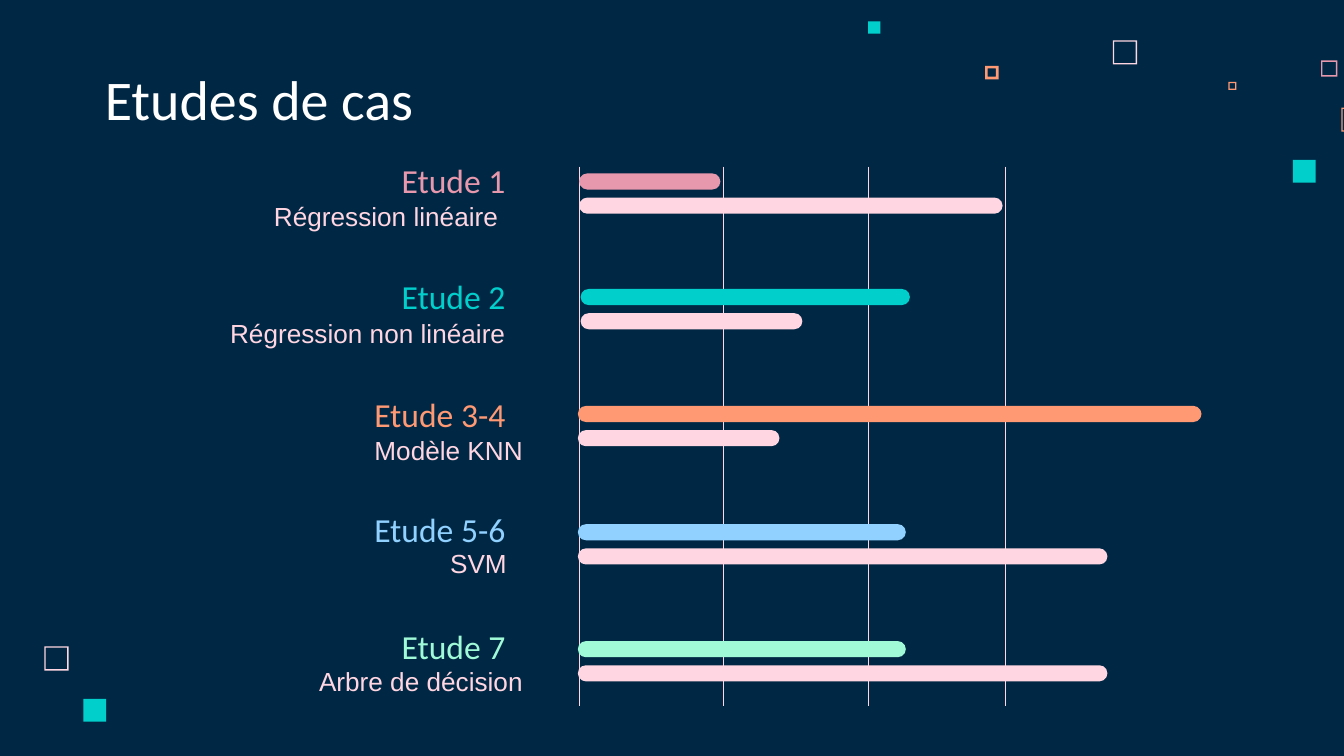
from dataclasses import dataclass

from lxml import etree
from pptx import Presentation
from pptx.dml.color import RGBColor
from pptx.enum.shapes import MSO_CONNECTOR, MSO_SHAPE
from pptx.enum.text import MSO_ANCHOR, MSO_AUTO_SIZE, PP_ALIGN
from pptx.oxml.ns import qn
from pptx.util import Inches, Pt

STRAIGHT = MSO_CONNECTOR.STRAIGHT
RECTANGLE, FRAME, ROUNDED = MSO_SHAPE.RECTANGLE, MSO_SHAPE.FRAME, MSO_SHAPE.ROUNDED_RECTANGLE
TOP, BOTTOM = MSO_ANCHOR.TOP, MSO_ANCHOR.BOTTOM
LEFT, RIGHT = PP_ALIGN.LEFT, PP_ALIGN.RIGHT
NO_AUTOFIT = MSO_AUTO_SIZE.NONE
TITLE_ONLY = 5


@dataclass(frozen=True)
class Theme:
    background: str = "002845"
    white: str = "FFFFFF"
    pale_pink: str = "FFD6E1"
    rose: str = "E898AC"
    teal: str = "00CFCC"
    orange: str = "FF9973"
    sky: str = "91D1FF"
    mint: str = "A0FAD7"
    heading_font: str = "Calibri"
    body_font: str = "Arial"
    title_size: int = 30
    heading_size: int = 18
    caption_size: int = 14


THEME = Theme()


@dataclass(frozen=True)
class Box:
    left: float
    top: float
    width: float
    height: float

    def lengths(self) -> tuple:
        return tuple(Inches(v) for v in (self.left, self.top, self.width, self.height))


@dataclass(frozen=True)
class TextStyle:
    font: str
    size: int
    color: str
    align: PP_ALIGN
    anchor: MSO_ANCHOR
    space_after: int = 0


@dataclass(frozen=True)
class Square:
    left: float
    top: float
    side: float
    color: str
    thickness: float = 0  # zero means a solid square


@dataclass(frozen=True)
class Study:
    heading: str
    caption: str
    color: str
    bars_left: float
    bars_top: float
    bar_widths: tuple
    heading_top: float
    caption_box: Box


SQUARES = [
    Square(8.28, 0.3, 0.18, THEME.pale_pink, 0.01),
    Square(9.83, 0.45, 0.12, THEME.rose, 0.01),
    Square(9.14, 0.61, 0.06, THEME.orange, 0.01),
    Square(9.98, 0.8, 0.18, THEME.orange, 0.01),
    Square(9.62, 1.19, 0.17, THEME.teal),
    Square(7.33, 0.49, 0.1, THEME.orange, 0.02),
    Square(6.46, 0.16, 0.09, THEME.teal),
    Square(0.33, 4.81, 0.18, THEME.pale_pink, 0.01),
    Square(0.62, 5.2, 0.17, THEME.teal),
]
STUDIES = [
    Study("Etude 1", "Régression linéaire ", THEME.rose, 4.31, 1.29, (1.05, 3.15),
          1.16, Box(1.41, 1.39, 2.45, 0.71)),
    Study("Etude 2", "Régression non linéaire", THEME.teal, 4.32, 2.15, (2.45, 1.65),
          2.02, Box(1.5, 2.26, 2.36, 0.71)),
    Study("Etude 3-4", "Modèle KNN", THEME.orange, 4.3, 3.02, (4.64, 1.5),
          2.9, Box(1.38, 3.13, 2.61, 0.71)),
    Study("Etude 5-6", "SVM", THEME.sky, 4.3, 3.9, (2.44, 3.94),
          3.76, Box(1.26, 3.97, 2.61, 0.71)),
    Study("Etude 7", "Arbre de décision", THEME.mint, 4.3, 4.77, (2.44, 3.94),
          4.63, Box(1.38, 4.85, 2.61, 0.71)),
]
GRID_LINES = [4.31, 5.38, 6.46, 7.48]
GRID_TOP, GRID_BOTTOM = 1.24, 5.25
BAR_GAP, BAR_HEIGHT = 0.18, 0.12


def add_filled_shape(slide, kind: MSO_SHAPE, box: Box, color: str):
    shape = slide.shapes.add_shape(kind, *box.lengths())
    shape.shadow.inherit = False
    shape.fill.solid()
    shape.fill.fore_color.rgb = RGBColor.from_string(color)
    shape.line.fill.background()
    return shape


def add_square(slide, square: Square) -> None:
    box = Box(square.left, square.top, square.side, square.side)
    kind = FRAME if square.thickness else RECTANGLE
    shape = add_filled_shape(slide, kind, box, square.color)
    if square.thickness:
        shape.adjustments[0] = square.thickness / square.side


def add_grid_line(slide, x: float) -> None:
    line = slide.shapes.add_connector(
        STRAIGHT, Inches(x), Inches(GRID_TOP), Inches(x), Inches(GRID_BOTTOM))
    line.line.color.rgb = RGBColor.from_string(THEME.pale_pink)
    line.line.width = Pt(0.25)
    etree.SubElement(line._element.spPr, qn("a:effectLst"))


def write_text(shape, text: str, style: TextStyle) -> None:
    frame = shape.text_frame
    frame.text = text
    frame.word_wrap = True
    frame.auto_size = NO_AUTOFIT
    frame.vertical_anchor = style.anchor
    frame.margin_left = frame.margin_right = Inches(0.1)
    frame.margin_top = frame.margin_bottom = Inches(0.1)
    paragraph = frame.paragraphs[0]
    paragraph.alignment = style.align
    paragraph.space_after = Pt(style.space_after)
    font = paragraph.runs[0].font
    font.name = style.font
    font.size = Pt(style.size)
    font.color.rgb = RGBColor.from_string(style.color)


def add_title(slide, text: str, box: Box) -> None:
    title = slide.shapes.title
    title.left, title.top, title.width, title.height = box.lengths()
    write_text(title, text, TextStyle(
        THEME.heading_font, THEME.title_size, THEME.white, LEFT, BOTTOM))


def add_study(slide, study: Study) -> None:
    # Pair of bars
    for row, (width, color) in enumerate(zip(study.bar_widths, (study.color, THEME.pale_pink))):
        box = Box(study.bars_left, study.bars_top + row * BAR_GAP, width, BAR_HEIGHT)
        bar = add_filled_shape(slide, ROUNDED, box, color)
        bar.adjustments[0] = 0.5
    # Heading and caption
    heading = slide.shapes.add_textbox(*Box(1.8, study.heading_top, 2.06, 0.43).lengths())
    write_text(heading, study.heading, TextStyle(
        THEME.heading_font, THEME.heading_size, study.color, RIGHT, BOTTOM))
    caption = slide.shapes.add_textbox(*study.caption_box.lengths())
    write_text(caption, study.caption, TextStyle(
        THEME.body_font, THEME.caption_size, THEME.pale_pink, RIGHT, TOP, space_after=16))


def main() -> None:
    presentation = Presentation()
    presentation.slide_width = Inches(10)
    presentation.slide_height = Inches(10 * 9 / 16)
    slide = presentation.slides.add_slide(presentation.slide_layouts[TITLE_ONLY])
    slide.background.fill.solid()
    slide.background.fill.fore_color.rgb = RGBColor.from_string(THEME.background)

    # Decorative squares
    for square in SQUARES:
        add_square(slide, square)

    add_title(slide, "Etudes de cas ", Box(0.68, 0.45, 5.17, 0.63))

    # Vertical grid behind the bars
    for x in GRID_LINES:
        add_grid_line(slide, x)

    # Case studies
    for study in STUDIES:
        add_study(slide, study)

    presentation.save("out.pptx")


if __name__ == "__main__":
    main()
